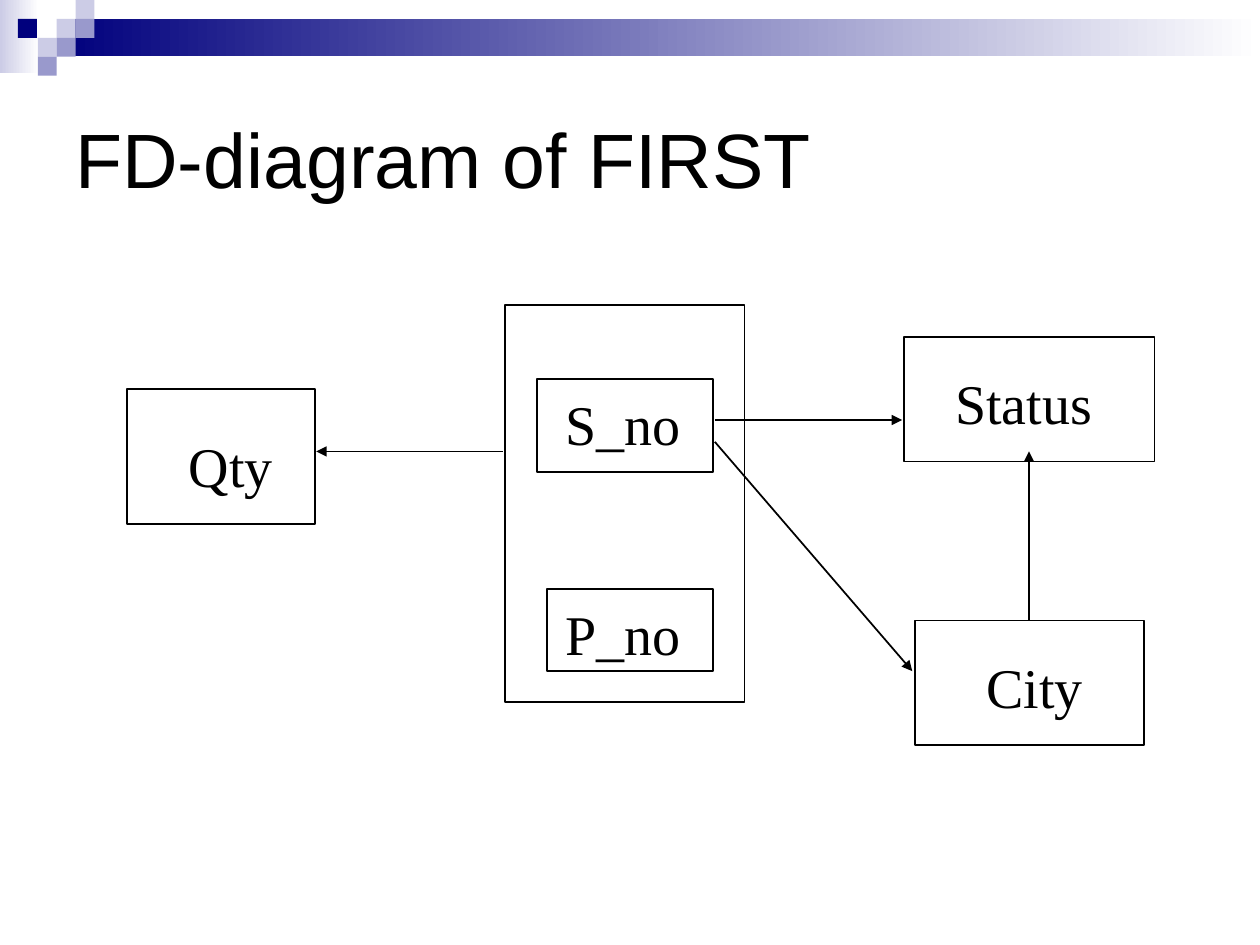
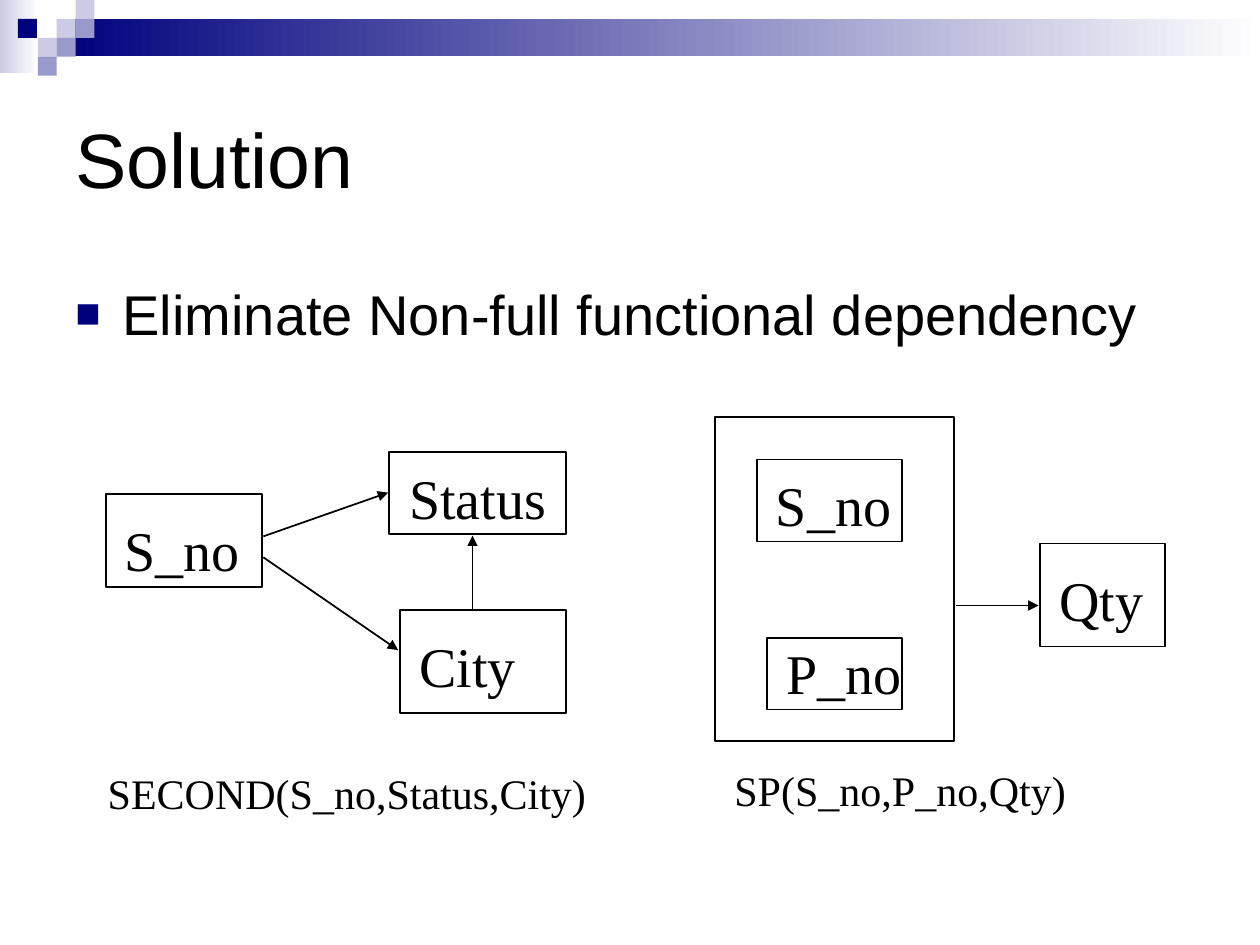
from pptx import Presentation
from pptx.dml.color import RGBColor
from pptx.enum.shapes import MSO_CONNECTOR as CONN, MSO_SHAPE as SHAPE
from pptx.enum.text import MSO_ANCHOR as ANCHOR, MSO_AUTO_SIZE as AUTO
from pptx.oxml.ns import qn
from pptx.util import Pt
from lxml.etree import SubElement

rgb = RGBColor.from_string
BLACK, WHITE, NAVY, LILAC, PALE = "000000", "FFFFFF", "00007D", "9999CC", "CCCCE6"
SERIF = "Times New Roman"
CELL = 10.8
LABEL_WIDTH = {"Qty": 63, "S_no": 80.5, "P_no": 80.5, "Status": 93.5, "City": 70}


def add_rect(s, x, y, w, h, fill=None, line=None):
    sp = s.shapes.add_shape(SHAPE.RECTANGLE, Pt(x), Pt(y), Pt(w), Pt(h))
    sp.shadow.inherit = False
    if fill:
        sp.fill.solid()
        sp.fill.fore_color.rgb = rgb(fill)
    else:
        sp.fill.background()
    if line:
        sp.line.color.rgb = rgb(line)
        sp.line.width = Pt(1)
    else:
        sp.line.fill.background()
    return sp


def add_text(s, text, x, y, w, h, size=32, font=SERIF, wrap=False,
             anchor=ANCHOR.TOP, bullet=None):
    tf = s.shapes.add_textbox(Pt(x), Pt(y), Pt(w), Pt(h)).text_frame
    tf.word_wrap = wrap
    tf.auto_size = AUTO.NONE if wrap else AUTO.SHAPE_TO_FIT_TEXT
    tf.vertical_anchor = anchor
    p = tf.paragraphs[0]
    if bullet:
        pPr = p._p.get_or_add_pPr()
        pPr.set("marL", str(Pt(27)))
        pPr.set("indent", str(-Pt(27)))
        SubElement(SubElement(pPr, qn("a:buClr")), qn("a:srgbClr"), val=NAVY)
        SubElement(pPr, qn("a:buSzPct"), val="75000")
        SubElement(pPr, qn("a:buFont"), typeface="Arial")
        SubElement(pPr, qn("a:buChar"), char=bullet)
    r = p.add_run()
    r.text = text
    r.font.size = Pt(size)
    r.font.name = font
    r.font.color.rgb = rgb(BLACK)


# Slide content: frames are x, y, w, h; labels are text, x, y;
# arrows are x1, y1, x2, y2, line width
slides = [
    dict(
        title="FD-diagram of FIRST",
        frames=[(72.7, 222.5, 107.3, 77), (288.7, 174.2, 136.8, 226.8),
                (516.5, 192.5, 143.3, 71.3), (522.7, 354.5, 131, 71.3),
                (306.7, 216.5, 100.8, 53.3), (312.5, 336.5, 95, 46.8)],
        labels=[("Qty", 100.8, 243), ("S_no", 316.1, 219.2),
                ("P_no", 316.1, 339.1), ("Status", 538.8, 207),
                ("City", 556.6, 369.4)],
        arrows=[(287.3, 258, 180.7, 258, 1), (408.5, 240, 515.5, 240, 1),
                (408.5, 252.5, 521.3, 383.5, 1), (588, 354.2, 588, 258, 0.75)],
        captions=[],
    ),
    dict(
        title="Solution",
        body="Eliminate Non-full functional dependency",
        frames=[(60.5, 282.2, 89.3, 53.3), (222.5, 258.5, 100.8, 46.8),
                (228.5, 348.5, 95, 59), (408.5, 238.5, 136.8, 185),
                (594.4, 310.5, 71.3, 59), (432.7, 262.6, 82.8, 46.8),
                (438.5, 364.5, 77, 41)],
        labels=[("S_no", 64.1, 291.2), ("Status", 226.8, 261.4),
                ("City", 232.6, 357.1), ("S_no", 436.3, 265.4),
                ("P_no", 442.1, 361.4), ("Qty", 598.3, 319.5)],
        arrows=[(150.5, 306.5, 221.8, 281.5, 1), (150.5, 318.5, 227.5, 371.5, 1),
                (546.5, 346, 593.5, 346, 1), (270, 347.8, 270, 306, 0.75)],
        captions=[("SECOND(S_no,Status,City)", 54.5, 435.2, 288),
                  ("SP(S_no,P_no,Qty)", 412.6, 433.4, 203.8)],
    ),
]

prs = Presentation()
prs.slide_width, prs.slide_height = Pt(720), Pt(540)

for content in slides:
    s = prs.slides.add_slide(prs.slide_layouts[6])

    # Gradient bands
    for x, y, w, h, color in [(0, 0, 22.3, 41.8, PALE), (32.4, 10.8, 687.6, 21.3, NAVY)]:
        fill = add_rect(s, x, y, w, h).fill
        fill.gradient()
        fill.gradient_angle = 0
        for stop, position, stop_color in zip(fill.gradient_stops, (0, 1), (color, WHITE)):
            stop.position = position
            stop.color.rgb = rgb(stop_color)

    # Corner squares on a grid of cells
    for col, row, color in [(3, 1, PALE), (4, 0, PALE), (4, 1, LILAC), (2, 2, PALE),
                            (0.95, 1, NAVY), (3, 2, LILAC), (2, 3, LILAC)]:
        add_rect(s, col * CELL, row * CELL, CELL, CELL, fill=color)

    # Title and body
    add_text(s, content["title"], 36, 36, 648, 108, size=44, font="Arial",
             wrap=True, anchor=ANCHOR.MIDDLE)
    if "body" in content:
        add_text(s, content["body"], 36, 156.2, 648, 306, font="Arial",
                 wrap=True, bullet="■")

    # Attribute frames
    for frame in content["frames"]:
        add_rect(s, *frame, line=BLACK)

    # Dependency arrows
    for x1, y1, x2, y2, width in content["arrows"]:
        arrow = s.shapes.add_connector(CONN.STRAIGHT, Pt(x1), Pt(y1), Pt(x2), Pt(y2))
        arrow.line.color.rgb = rgb(BLACK)
        arrow.line.width = Pt(width)
        SubElement(arrow.line._get_or_add_ln(), qn("a:tailEnd"), type="triangle")
        SubElement(arrow._element.spPr, qn("a:effectLst"))

    # Attribute names and relation captions
    for text, x, y in content["labels"]:
        add_text(s, text, x, y, LABEL_WIDTH[text], 45.4)
    for text, x, y, w in content["captions"]:
        add_text(s, text, x, y, w, 36, size=24)

prs.save("out.pptx")
